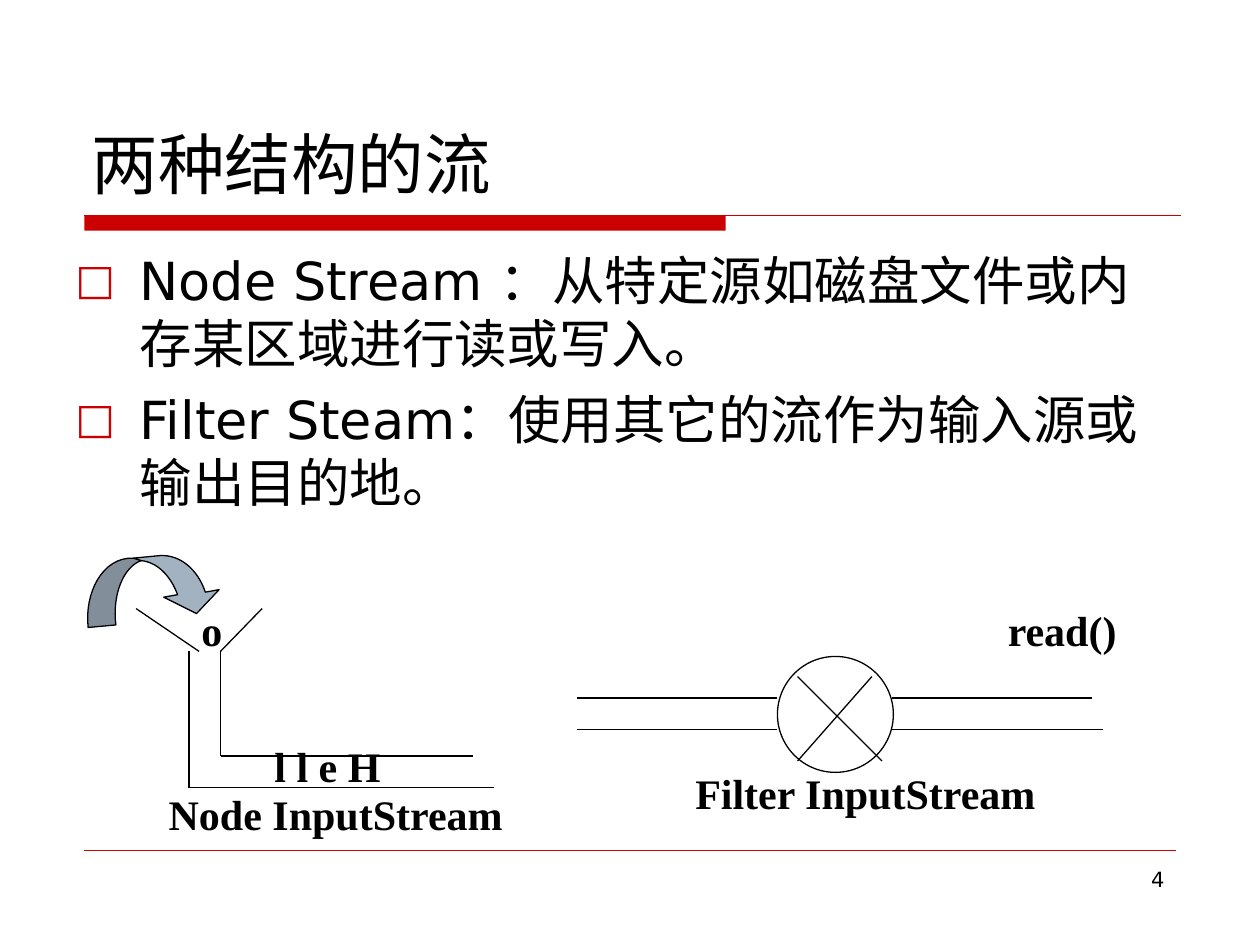
"""Build the slide that contrasts node streams with filter streams."""
from dataclasses import dataclass
from typing import NamedTuple

from lxml import etree
from pptx import Presentation, util as u
from pptx.dml.color import RGBColor
from pptx.enum import shapes, text
from pptx.oxml import ns

PX = 9144


@dataclass(frozen=True)
class Theme:
    ink: RGBColor = RGBColor(0x00, 0x00, 0x00)
    accent: RGBColor = RGBColor(0xCC, 0x00, 0x00)
    paper: RGBColor = RGBColor(0xFF, 0xFF, 0xFF)
    arrow: RGBColor = RGBColor(0xA3, 0xB2, 0xC1)
    arrow_shade: RGBColor = RGBColor(0x82, 0x8E, 0x9A)
    sans: str = "DejaVu Sans"
    serif: str = "Times New Roman"
    title: int = 38
    body: int = 30
    label: int = 24
    number: int = 12
    stroke: float = 0.75
    hairline: float = 0.25


THEME = Theme()


class Box(NamedTuple):
    left: int
    top: int
    width: int
    height: int


class Line(NamedTuple):
    x1: int
    y1: int
    x2: int
    y2: int
    color: RGBColor = THEME.ink
    weight: float = THEME.stroke


class Words(NamedTuple):
    box: Box
    lines: tuple[str, ...]
    size: int = THEME.label
    font: str = THEME.serif
    bold: bool = True
    wrap: bool = False
    align: text.PP_ALIGN = text.PP_ALIGN.LEFT
    anchor: text.MSO_ANCHOR = text.MSO_ANCHOR.TOP
    bullets: bool = False


class Curve(NamedTuple):
    points: tuple[tuple[int, int], ...]


class Outline(NamedTuple):
    fill: RGBColor
    start: tuple[int, int]
    curves: tuple[Curve, ...]


RULES = (
    Line(67, 171, 937, 171, THEME.accent),
    Line(67, 675, 933, 675, THEME.accent, THEME.hairline),
)
NODE_PIPE = (
    Line(108, 483, 158, 517),
    Line(208, 483, 175, 517),
    Line(150, 517, 150, 625),
    Line(150, 625, 392, 625),
    Line(175, 517, 175, 600),
    Line(175, 600, 375, 600),
)
FILTER_PIPE = (
    Line(458, 554, 617, 554),
    Line(458, 579, 617, 579),
    Line(708, 554, 867, 554),
    Line(708, 579, 875, 579),
)
FILTER_CROSS = (Line(633, 537, 700, 604), Line(692, 537, 633, 604))
ARROW = (
    Outline(THEME.arrow, (106, 443), (
        Curve(((127, 441),)),
        Curve(((143, 440), (157, 452), (163, 470))),
        Curve(((174, 468),)),
        Curve(((156, 487),)),
        Curve(((130, 474),)),
        Curve(((141, 472),)),
        Curve(((135, 456), (124, 446), (112, 445))),
    )),
    Outline(THEME.arrow_shade, (70, 498), (
        Curve(((67, 471), (81, 442), (106, 443))),
        Curve(((112, 445),)),
        Curve(((98, 450), (89, 472), (92, 496))),
    )),
)
TEXTS = (
    Words(Box(717, 683, 217, 52), ("4",), THEME.number, THEME.sans, False, True,
          text.PP_ALIGN.RIGHT),
    Words(Box(63, 33, 875, 133), ("两种结构的流",), THEME.title, THEME.sans, False, True,
          anchor=text.MSO_ANCHOR.BOTTOM),
    Words(Box(50, 192, 894, 456),
          ("Node Stream ：从特定源如磁盘文件或内存某区域进行读或写入。",
           "Filter Steam：使用其它的流作为输入源或输出目的地。"),
          THEME.body, THEME.sans, False, True, bullets=True),
    Words(Box(208, 583, 104, 50), ("l l e H",)),
    Words(Box(150, 475, 36, 50), ("o",)),
    Words(Box(124, 621, 286, 50), ("Node InputStream",)),
    Words(Box(542, 604, 291, 50), ("Filter InputStream",)),
    Words(Box(790, 475, 107, 50), ("read()",)),
)


def emu(lengths: tuple[int, ...]) -> list[int]:
    return [length * PX for length in lengths]


def add_line(page, line: Line) -> None:
    connector = page.shapes.add_connector(shapes.MSO_CONNECTOR.STRAIGHT, *emu(line[:4]))
    connector.line.color.rgb = line.color
    connector.line.width = u.Pt(line.weight)
    etree.SubElement(connector._element.spPr, ns.qn("a:effectLst"))


def paint(shape, fill: RGBColor, outlined: bool = True) -> None:
    shape.shadow.inherit = False
    shape.fill.solid()
    shape.fill.fore_color.rgb = fill
    if outlined:
        shape.line.color.rgb = THEME.ink
        shape.line.width = u.Pt(THEME.stroke)
    else:
        shape.line.fill.background()


def sample(start: tuple[int, int], curve: Curve, steps: int = 16) -> list[tuple[float, float]]:
    if len(curve.points) == 1:
        return list(curve.points)
    knots = (start, *curve.points)
    result = []
    for step in range(1, steps + 1):
        t = step / steps
        weights = ((1 - t) ** 3, 3 * t * (1 - t) ** 2, 3 * t * t * (1 - t), t ** 3)
        result.append(tuple(sum(w * knot[axis] for w, knot in zip(weights, knots))
                            for axis in (0, 1)))
    return result


def add_outline(page, outline: Outline) -> None:
    points = [outline.start]
    for curve in outline.curves:
        points += sample(points[-1], curve)
    corners = [(round(x * PX), round(y * PX)) for x, y in points]
    builder = page.shapes.build_freeform(*corners[0])
    builder.add_line_segments(corners[1:], close=True)
    paint(builder.convert_to_shape(), outline.fill)


def add_bullet(para) -> None:
    para.space_before = u.Pt(7.5)
    props = para._p.get_or_add_pPr()
    indent = 51 * PX
    props.set("marL", str(indent))
    props.set("indent", str(-indent))
    color = etree.SubElement(props, ns.qn("a:buClr"))
    etree.SubElement(color, ns.qn("a:srgbClr"), val=str(THEME.accent))
    etree.SubElement(props, ns.qn("a:buSzPct"), val="80000")
    etree.SubElement(props, ns.qn("a:buFont"), typeface=THEME.sans)
    etree.SubElement(props, ns.qn("a:buChar"), char="□")


def add_words(page, words: Words) -> None:
    frame = page.shapes.add_textbox(*emu(words.box)).text_frame
    frame.word_wrap = words.wrap
    frame.vertical_anchor = words.anchor
    frame.text = "\n".join(words.lines)
    for para in frame.paragraphs:
        para.alignment = words.align
        if words.bullets:
            add_bullet(para)
        for span in para.runs:
            span.font.size = u.Pt(words.size)
            span.font.name = words.font
            span.font.bold = words.bold
            span.font.color.rgb = THEME.ink


def main() -> None:
    deck = Presentation()
    deck.slide_width, deck.slide_height = emu((1000, 750))
    page = deck.slides.add_slide(deck.slide_layouts[6])
    band = page.shapes.add_shape(shapes.MSO_SHAPE.RECTANGLE, *emu(Box(67, 171, 509, 12)))
    paint(band, THEME.accent, outlined=False)
    for line in RULES + NODE_PIPE + FILTER_PIPE:
        add_line(page, line)
    for outline in ARROW:
        add_outline(page, outline)
    valve = page.shapes.add_shape(shapes.MSO_SHAPE.OVAL, *emu(Box(617, 521, 92, 92)))
    paint(valve, THEME.paper)
    for line in FILTER_CROSS:
        add_line(page, line)
    for words in TEXTS:
        add_words(page, words)
    deck.save("out.pptx")


if __name__ == "__main__":
    main()
